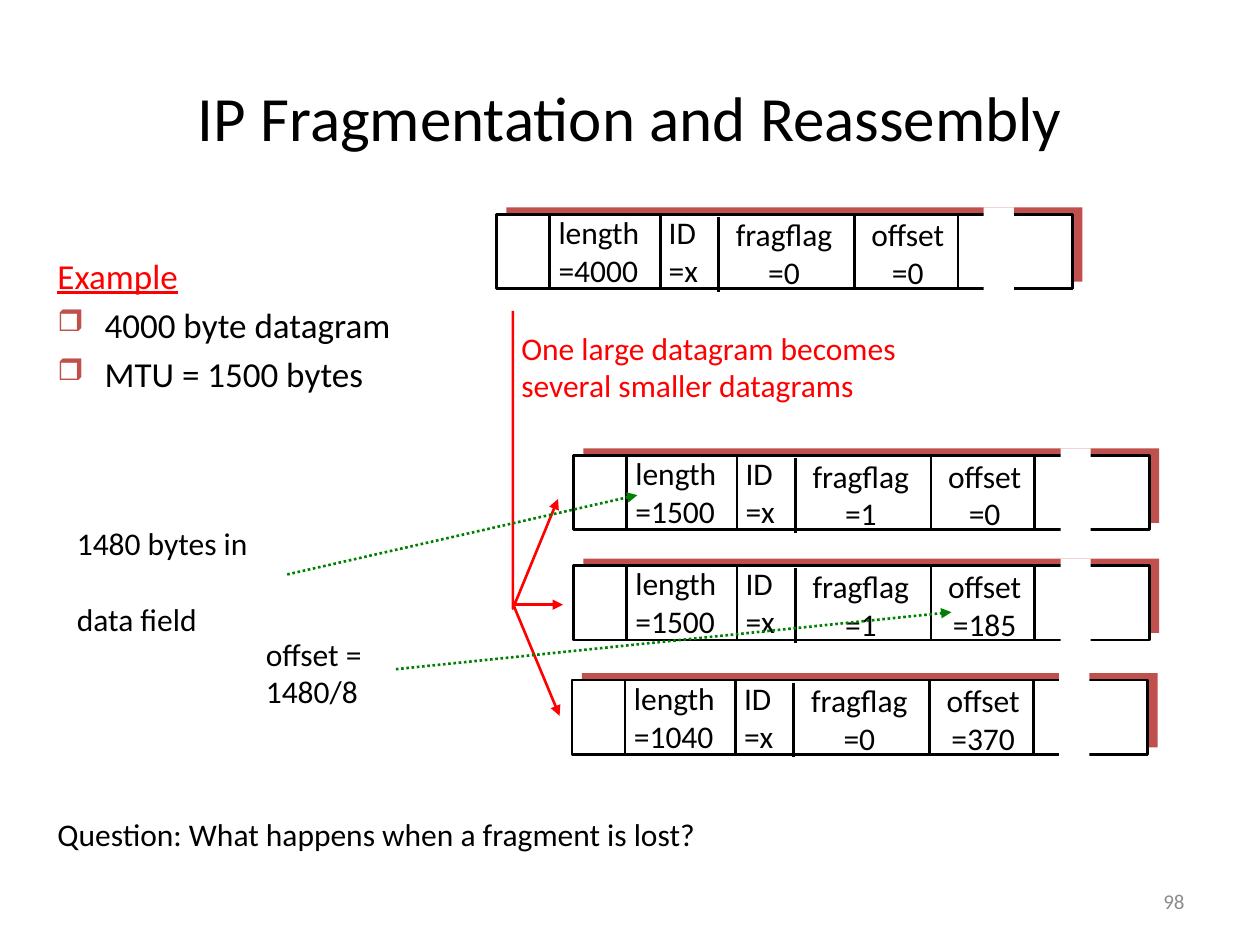
from lxml import etree
from pptx import Presentation
from pptx import util as u
from pptx.dml.color import RGBColor
from pptx.enum import dml, shapes, text
from pptx.oxml.ns import qn

BLACK = RGBColor(0, 0, 0)
WHITE = RGBColor(255, 255, 255)
RED = RGBColor(255, 0, 0)
GREEN = RGBColor(0, 128, 0)
BRICK = RGBColor(0xC0, 0x50, 0x4D)
GRAY = RGBColor(0x8C, 0x8C, 0x8C)
LEFT, CENTER, RIGHT = text.PP_ALIGN.LEFT, text.PP_ALIGN.CENTER, text.PP_ALIGN.RIGHT

BAR_WIDTH, BAR_HEIGHT = 11.61, 1.5
DIVIDERS = [(1.07, 0), (3.3, 0), (4.47, 0.06), (7.21, 0), (9.3, 0)]
FIELDS = [
    ("length", 1.0, -0.15, 2.16, LEFT),
    ("ID", 3.22, -0.15, 1.12, LEFT),
    ("fragflag", 4.55, -0.1, 2.49, CENTER),
    ("offset", 7.29, -0.1, 2.0, CENTER),
]
DATAGRAMS = [
    (10.01, 4.32, ("=4000", "=x", "=0", "=0")),
    (11.56, 9.18, ("=1500", "=x", "=1", "=0")),
    (11.56, 11.4, ("=1500", "=x", "=1", "=185")),
    (11.53, 13.71, ("=1040", "=x", "=0", "=370")),
]


def add_text(page, lines, left, top, width, height, size=18, color=BLACK,
             align=LEFT, wrap=False, anchor=text.MSO_ANCHOR.TOP, gap=0):
    box = page.shapes.add_textbox(u.Cm(left), u.Cm(top), u.Cm(width), u.Cm(height))
    frame = box.text_frame
    frame.word_wrap = wrap
    frame.vertical_anchor = anchor
    frame.text = "\n".join(lines)
    for index, para in enumerate(frame.paragraphs):
        para.alignment = align
        if index and gap:
            para.space_before = u.Pt(gap)
        para.font.name = "Calibri"
        para.font.size = u.Pt(size)
        para.font.color.rgb = color
    return box


def add_block(page, left, top, width, height, fill, outline=None):
    block = page.shapes.add_shape(shapes.MSO_SHAPE.RECTANGLE, u.Cm(left), u.Cm(top),
                                  u.Cm(width), u.Cm(height))
    block.shadow.inherit = False
    block.fill.solid()
    block.fill.fore_color.rgb = fill
    if outline is None:
        block.line.fill.background()
    else:
        style_line(block.line, outline)


def style_line(line, color):
    line.color.rgb = color
    line.width = u.Pt(1.5)


def add_arrowhead(line):
    etree.SubElement(line._get_or_add_ln(), qn("a:tailEnd"), type="triangle")


def add_line(page, start, end, color, arrow=False, dotted=False):
    connector = page.shapes.add_connector(shapes.MSO_CONNECTOR.STRAIGHT,
                                          *(u.Cm(value) for value in start + end))
    style_line(connector.line, color)
    if dotted:
        connector.line.dash_style = dml.MSO_LINE.ROUND_DOT
    if arrow:
        add_arrowhead(connector.line)
    etree.SubElement(connector._element.spPr, qn("a:effectLst"))


def add_datagram(page, left, top, values):
    add_block(page, left + 0.2, top - 0.14, BAR_WIDTH, BAR_HEIGHT, BRICK)
    add_block(page, left, top, BAR_WIDTH, BAR_HEIGHT, WHITE, BLACK)
    for (name, x, y, width, align), value in zip(FIELDS, values):
        add_text(page, [name, value], left + x, top + y, width, 1.8, align=align)
    for x, y in DIVIDERS:
        add_line(page, (left + x, top + y), (left + x, top + y + BAR_HEIGHT), BLACK)
    add_block(page, left + 9.82, top - 0.14, 0.61, 1.68, WHITE)


def add_split_arrows(page):
    builder = page.shapes.build_freeform(u.Cm(10.34), u.Cm(6.27))
    builder.add_line_segments([(u.Cm(10.34), u.Cm(12.27)), (u.Cm(11.25), u.Cm(10.06))],
                              close=False)
    trunk = builder.convert_to_shape()
    trunk.shadow.inherit = False
    trunk.fill.background()
    style_line(trunk.line, RED)
    add_arrowhead(trunk.line)
    add_line(page, (10.34, 12.19), (11.35, 12.19), RED, arrow=True)
    add_line(page, (10.36, 12.22), (11.28, 14.43), RED, arrow=True)


def add_bullet(properties):
    color = etree.SubElement(properties, qn("a:buClr"))
    etree.SubElement(color, qn("a:srgbClr"), val=str(BRICK))
    etree.SubElement(properties, qn("a:buSzPct"), val="85000")
    etree.SubElement(properties, qn("a:buChar"), char="❒")


def add_example(page):
    box = page.shapes.add_textbox(u.Cm(0.91), u.Cm(5), u.Cm(7.87), u.Cm(4.67))
    frame = box.text_frame
    frame.word_wrap = True
    frame.text = "Example\n4000 byte datagram\nMTU = 1500 bytes"
    for index, para in enumerate(frame.paragraphs):
        properties = para._p.get_or_add_pPr()
        properties.set("marL", str(u.Cm(0.95)))
        properties.set("indent", str(-u.Cm(0.95)))
        if index:
            add_bullet(properties)
            para.space_before = u.Pt(4)
        para.font.name = "Calibri"
        para.font.size = u.Pt(20)
        para.font.underline = index == 0
        para.font.color.rgb = BLACK if index else RED


def main():
    deck = Presentation()
    deck.slide_width, deck.slide_height = u.Cm(25.4), u.Cm(19.05)
    page = deck.slides.add_slide(deck.slide_layouts[6])
    middle = text.MSO_ANCHOR.MIDDLE

    add_text(page, ["IP Fragmentation and Reassembly"], 1.27, 0.76, 22.86, 3.18,
             size=36, align=CENTER, wrap=True, anchor=middle)
    for left, top, values in DATAGRAMS:
        add_datagram(page, left, top, values)
    add_split_arrows(page)
    add_text(page, ["One large datagram becomes", "several smaller datagrams"],
             10.26, 6.5, 8.31, 1.8, color=RED)
    add_example(page)
    add_text(page, ["1480 bytes in", "data field"], 1.3, 10.44, 3.99, 1.8, gap=22)
    add_line(page, (5.79, 11.58), (12.85, 9.98), GREEN, arrow=True, dotted=True)
    add_text(page, ["offset =", "1480/8"], 5.11, 12.67, 2.46, 1.8)
    add_line(page, (7.98, 13.49), (19.18, 12.34), GREEN, arrow=True, dotted=True)
    add_text(page, ["Question: What happens when a fragment is lost?"],
             0.91, 16.31, 21.67, 1.02, wrap=True)
    add_text(page, ["98"], 18.21, 17.65, 5.92, 1.02, size=12, color=GRAY,
             align=RIGHT, wrap=True, anchor=middle)
    deck.save("out.pptx")


if __name__ == "__main__":
    main()
